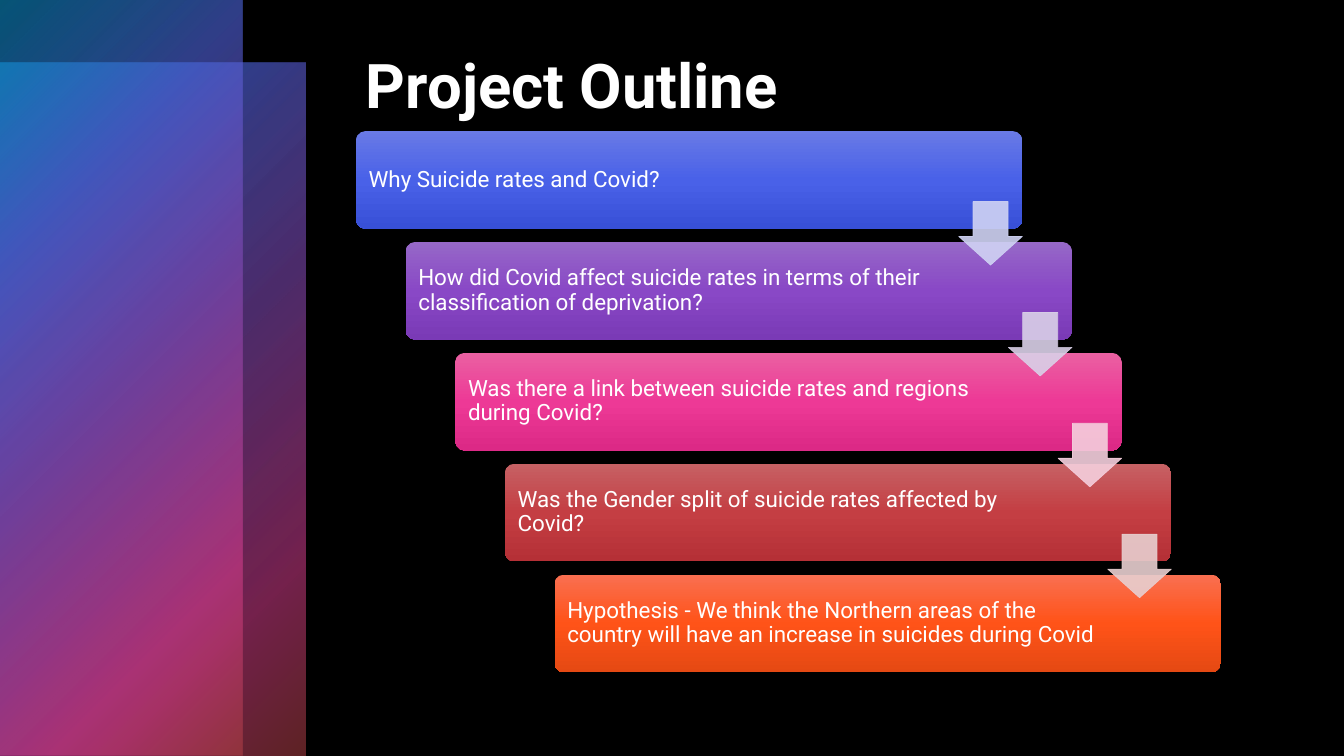
from dataclasses import dataclass
from typing import Optional

import pptx
import pptx.dml.color
import pptx.enum.shapes
import pptx.enum.text
import pptx.oxml
import pptx.oxml.ns
import pptx.util
from pptx.util import Inches

KIND = pptx.enum.shapes.MSO_SHAPE
ANCHOR = pptx.enum.text.MSO_ANCHOR
ALIGN = pptx.enum.text.PP_ALIGN


@dataclass(frozen=True)
class Theme:
    font: str = "Roboto"
    back: str = "000000"
    text: str = "FFFFFF"
    title: int = 44
    body: int = 16
    # Stops are position, colour, opacity, all but colour in percent
    glow: tuple = ((0, "0BA5E8", 50), (25, "5066E1", 60), (50, "894EC0", 55),
                   (81, "E54196", 50), (99, "BE4449", 50))


@dataclass(frozen=True)
class Step:
    text: str
    fade: tuple[str, str, str]
    arrow: Optional[str] = None


THEME = Theme()
STEPS = [
    Step("Why Suicide rates and Covid?",
         ("697AE6", "4961E8", "3850D7"), "D0D3F4"),
    Step("How did Covid affect suicide rates in terms of their "
         "classification of deprivation?",
         ("9668C7", "8948C6", "7A3AB6"), "DAD0E8"),
    Step("Was there a link between suicide rates and regions during Covid?",
         ("EA60A2", "ED3996", "DC2986"), "F5CFDD"),
    Step("Was the Gender split of suicide rates affected by Covid?",
         ("C66164", "C43E43", "B53036"), "E8CFD0"),
    Step("Hypothesis - We think the Northern areas of the country will "
         "have an increase in suicides during Covid",
         ("F96F51", "FF5318", "E54913")),
]

# Staircase in inches
LEFT, TOP = 3.53, 1.3
SHIFT, DROP = 1.97 / 4, 1.1
WIDE, HIGH = 6.61, 0.97
ARROW = 0.63


def rgb(code: str) -> pptx.dml.color.RGBColor:
    return pptx.dml.color.RGBColor.from_string(code)


def add_box(slide, kind, left: float, top: float, wide: float, high: float):
    shape = slide.shapes.add_shape(
        kind, Inches(left), Inches(top), Inches(wide), Inches(high))
    shape.shadow.inherit = False
    shape.line.fill.background()
    return shape


def set_fade(shape, stops: tuple, aim: str) -> None:
    """Fill with colour stops along the given direction element."""
    marks = "".join(
        f'<a:gs pos="{pos * 1000}"><a:srgbClr val="{code}">'
        f'<a:alpha val="{alpha * 1000}"/></a:srgbClr></a:gs>'
        for pos, code, alpha in stops)
    shape.fill.gradient()
    old = shape.element.spPr.find(pptx.oxml.ns.qn("a:gradFill"))
    new = pptx.oxml.parse_xml(
        f'<a:gradFill {pptx.oxml.ns.nsdecls("a")} rotWithShape="1">'
        f"<a:gsLst>{marks}</a:gsLst>{aim}</a:gradFill>")
    old.getparent().replace(old, new)


def add_run(para, text: str, size: int, bold: bool = False) -> None:
    para.alignment = ALIGN.LEFT
    para.line_spacing = 0.9
    run = para.add_run()
    run.text = text
    run.font.name = THEME.font
    run.font.size = pptx.util.Pt(size)
    run.font.bold = bold
    run.font.color.rgb = rgb(THEME.text)


def add_panel(slide, top: float, wide: float) -> None:
    panel = add_box(slide, KIND.RECTANGLE, 0, top, wide, 7.5 - top)
    set_fade(panel, THEME.glow,
             '<a:path path="circle">'
             '<a:fillToRect r="100000" b="100000"/></a:path>')


def add_card(slide, step: Step, left: float, top: float) -> None:
    card = add_box(slide, KIND.ROUNDED_RECTANGLE, left, top, WIDE, HIGH)
    card.adjustments[0] = 0.1
    stops = tuple(zip((0, 50, 100), step.fade, (100,) * 3))
    set_fade(card, stops, '<a:lin ang="5400000" scaled="0"/>')
    frame = card.text_frame
    frame.word_wrap = True
    frame.vertical_anchor = ANCHOR.MIDDLE
    frame.margin_left = Inches(0.1)
    frame.margin_right = Inches(1.22)
    add_run(frame.paragraphs[0], step.text, THEME.body)


def add_arrow(slide, code: str, left: float, top: float) -> None:
    arrow = add_box(slide, KIND.DOWN_ARROW, left, top, ARROW, ARROW)
    arrow.adjustments[0] = 0.55
    arrow.adjustments[1] = 0.45
    arrow.fill.solid()
    arrow.fill.fore_color.rgb = rgb(code)
    arrow.line.color.rgb = rgb(code)
    arrow.line.width = pptx.util.Pt(0.5)
    for tint in arrow.element.spPr.iter(pptx.oxml.ns.qn("a:srgbClr")):
        tint.append(pptx.oxml.parse_xml(
            f'<a:alpha {pptx.oxml.ns.nsdecls("a")} val="90000"/>'))


def main() -> None:
    deck = pptx.Presentation()
    deck.slide_width = Inches(13.33)
    deck.slide_height = Inches(7.5)
    slide = deck.slides.add_slide(deck.slide_layouts[5])
    slide.background.fill.solid()
    slide.background.fill.fore_color.rgb = rgb(THEME.back)

    # Overlapping side panels
    add_panel(slide, 0.62, 3.03)
    add_panel(slide, 0, 2.41)

    # Title
    title = slide.shapes.title
    title.left, title.top = Inches(LEFT), Inches(0.5)
    title.width, title.height = Inches(8.58), Inches(1.7)
    title.text_frame.vertical_anchor = ANCHOR.TOP
    title.text_frame.word_wrap = True
    add_run(title.text_frame.paragraphs[0], "Project Outline",
            THEME.title, bold=True)

    # Cards first, so that the arrows lie over them
    spots = [(LEFT + SHIFT * i, TOP + DROP * i) for i in range(len(STEPS))]
    for step, (left, top) in zip(STEPS, spots):
        add_card(slide, step, left, top)
    for step, (left, top) in zip(STEPS, spots):
        if step.arrow:
            add_arrow(slide, step.arrow, left + WIDE - ARROW, top + 0.7)

    deck.save("out.pptx")


if __name__ == "__main__":
    main()
